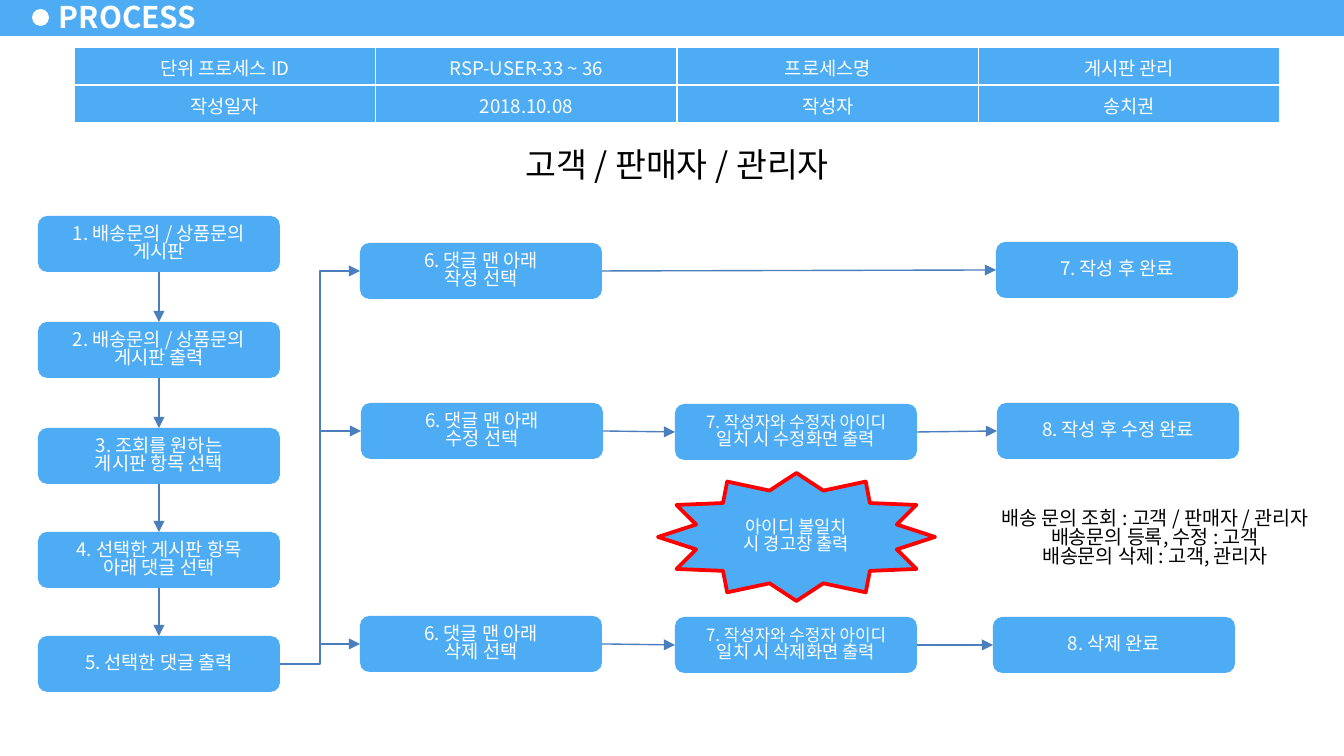
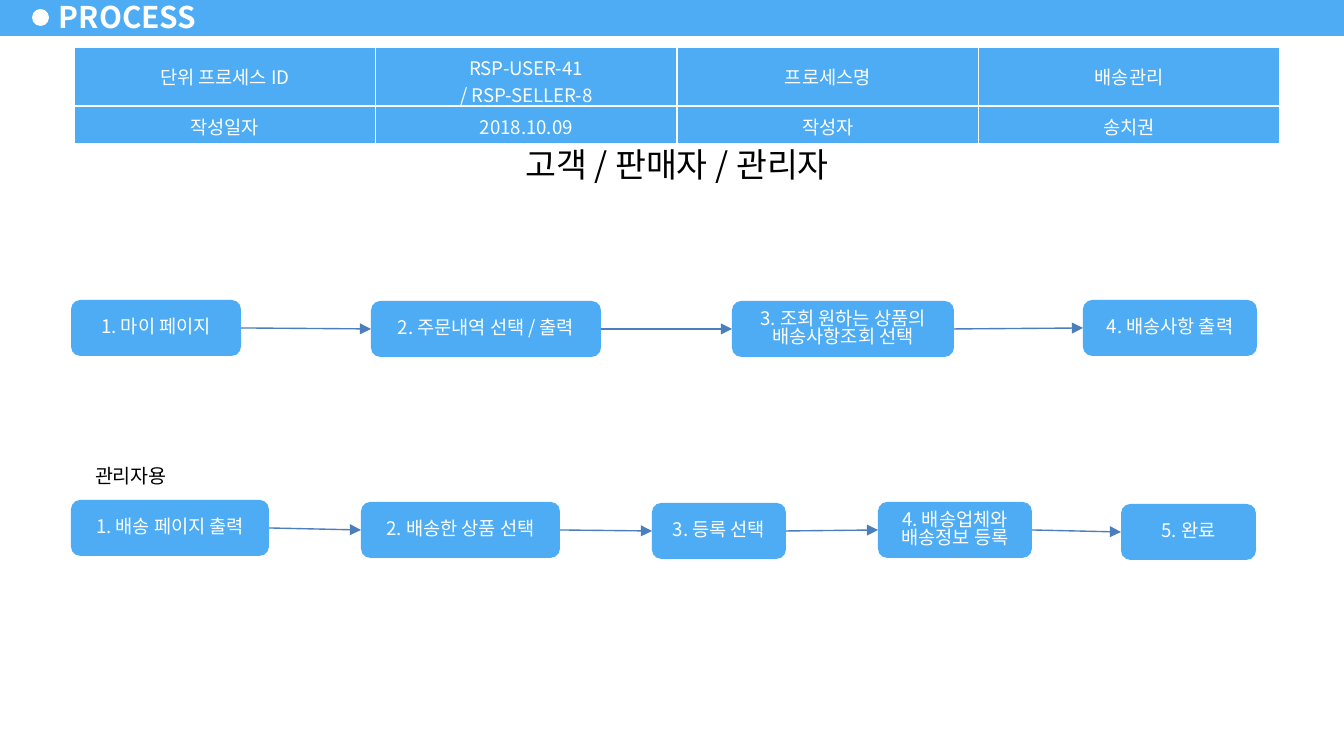
import pptx
import pptx.util
import pptx.dml.color
import pptx.enum.shapes
import pptx.enum.text
import pptx.oxml
import pptx.oxml.ns

SCALE = 914400 / 134.4
FONT = "Noto Sans CJK KR"
BLUE, WHITE, BLACK, RED, ARROW = "4DACF3", "FFFFFF", "000000", "FF0000", "4B7EBC"
BOX_W, BOX_H = 242, 56
TOP, LEFT, BOTTOM, RIGHT = range(4)  # connection sites of a box

SHAPE = pptx.enum.shapes.MSO_SHAPE
LINE = pptx.enum.shapes.MSO_CONNECTOR
ALIGN = pptx.enum.text.PP_ALIGN
ANCHOR = pptx.enum.text.MSO_ANCHOR


def px(n):
    return pptx.util.Emu(round(n * SCALE))


def rgb(color):
    return pptx.dml.color.RGBColor.from_string(color)


def sub(parent, tag, **attrs):
    el = pptx.oxml.parse_xml(f"<{tag} {pptx.oxml.ns.nsdecls('a')}/>")
    for name, value in attrs.items():
        el.set(name, str(value))
    parent.append(el)
    return el


def write(tf, text, sizes=(10,), color=WHITE, bold=False, align=ALIGN.CENTER,
          spacing=None):
    """One paragraph per line; the last size holds for the remaining lines."""
    for i, line in enumerate(text.split("\n")):
        p = tf.paragraphs[0] if i == 0 else tf.add_paragraph()
        p.alignment = align
        if spacing:
            p.line_spacing = spacing
        r = p.add_run()
        r.text = line
        r.font.size = pptx.util.Pt(sizes[min(i, len(sizes) - 1)])
        r.font.name = FONT
        r.font.bold = bold
        r.font.color.rgb = rgb(color)
        sub(r._r.get_or_add_rPr(), "a:ea", typeface=FONT)


def shape(s, kind, x, y, w, h, fill=BLUE, text="", line=None, inset=(13, 7),
          anchor=ANCHOR.MIDDLE, **fmt):
    sp = s.shapes.add_shape(kind, px(x), px(y), px(w), px(h))
    sp.shadow.inherit = False
    sp.fill.solid()
    sp.fill.fore_color.rgb = rgb(fill)
    if line:
        sp.line.color.rgb = rgb(line)
        sp.line.width = pptx.util.Pt(2)
    else:
        sp.line.fill.background()
    if text:
        tf = sp.text_frame
        tf.word_wrap = True
        tf.vertical_anchor = anchor
        tf.margin_left = tf.margin_right = px(inset[0])
        tf.margin_top = tf.margin_bottom = px(inset[1])
        write(tf, text, spacing=0.82, **fmt)
    return sp


def box(s, x, y, text, w=BOX_W, **fmt):
    return shape(s, SHAPE.ROUNDED_RECTANGLE, x, y, w, BOX_H, text=text, **fmt)


def label(s, x, y, w, h, text, size):
    shape(s, SHAPE.RECTANGLE, x, y, w, h, fill=WHITE, text=text,
          anchor=ANCHOR.TOP, sizes=(size,), color=BLACK)


def arrow(s, target, source=None, out=RIGHT, into=LEFT, start_x=0, kind=LINE.STRAIGHT):
    """Arrow from a source box, or level from start_x, to the target box."""
    y = target.top + target.height // 2
    cn = s.shapes.add_connector(kind, px(start_x), y, target.left, y)
    if source is not None:
        cn.begin_connect(source, out)
    cn.end_connect(target, into)
    cn.line.color.rgb = rgb(ARROW)
    cn.line.width = pptx.util.Pt(0.75)
    sub(cn.line._get_or_add_ln(), "a:tailEnd", type="triangle")
    sub(cn._element.spPr, "a:effectLst")


def chain(s, boxes, **sites):
    for source, target in zip(boxes, boxes[1:]):
        arrow(s, target, source, **sites)


def header(s):
    shape(s, SHAPE.RECTANGLE, 0, -2, 1344, 38)
    shape(s, SHAPE.OVAL, 32, 9, 17, 17, fill=WHITE)
    tf = s.shapes.add_textbox(px(47), px(-5), px(164), px(43)).text_frame
    tf.vertical_anchor = ANCHOR.MIDDLE
    tf.margin_left = tf.margin_right = px(12)
    tf.margin_top = tf.margin_bottom = px(5)
    write(tf, "PROCESS", sizes=(16,), bold=True, align=ALIGN.LEFT)


def info_table(s, x, y, w, heights, rows):
    table = s.shapes.add_table(len(rows), 4, px(x), px(y), px(w), px(sum(heights))).table
    table.first_row = table.horz_banding = False
    for col in table.columns:
        col.width = px(w / 4)
    for row, height, values in zip(table.rows, heights, rows):
        row.height = px(height)
        for cell, value in zip(row.cells, values):
            cell.vertical_anchor = ANCHOR.MIDDLE
            cell.margin_left = cell.margin_right = px(13)
            cell.margin_top = cell.margin_bottom = px(7)
            write(cell.text_frame, value)
            tcPr = cell._tc.get_or_add_tcPr()
            for side in ("a:lnL", "a:lnR", "a:lnT", "a:lnB"):
                fill = sub(sub(tcPr, side, w=12700), "a:solidFill")
                sub(fill, "a:srgbClr", val=WHITE)
            cell.fill.solid()
            cell.fill.fore_color.rgb = rgb(BLUE)


def process_slide(prs, process_id, name, date, first_height):
    s = prs.slides.add_slide(prs.slide_layouts[6])
    header(s)
    label(s, 437, 144, 480, 55, "고객 / 판매자 / 관리자", 18)
    info_table(s, 74, 47, 1206, (first_height, 38), [
        ("단위 프로세스 ID", process_id, "프로세스명", name),
        ("작성일자", date, "작성자", "송치권"),
    ])
    return s


def steps_down(s, x, tops, texts):
    boxes = [box(s, x, y, text) for y, text in zip(tops, texts)]
    chain(s, boxes, out=BOTTOM, into=TOP)
    return boxes


def steps_across(s, steps):
    """Each step is left, top, width, text."""
    chain(s, [box(s, x, y, text, w=w) for x, y, w, text in steps])


def branch(s, steps):
    """Each step is left, top, text and an optional size for each line."""
    boxes = [box(s, x, y, text, sizes=sizes or (10,)) for x, y, text, *sizes in steps]
    chain(s, boxes)
    return boxes[0]


prs = pptx.Presentation()
prs.slide_width, prs.slide_height = px(1344), px(756)

# Slide 1: board management
s = process_slide(prs, "RSP-USER-33 ~ 36", "게시판 관리", "2018.10.08", 38)
main_steps = steps_down(s, 38, (216, 322, 428, 532, 636), (
    "1. 배송문의 / 상품문의 게시판",
    "2. 배송문의 / 상품문의 게시판 출력",
    "3. 조회를 원하는\n게시판 항목 선택",
    "4. 선택한 게시판 항목\n아래 댓글 선택",
    "5. 선택한 댓글 출력",
))
write_step = branch(s, [(360, 243, "6. 댓글 맨 아래\n작성 선택"),
                        (996, 242, "7. 작성 후 완료")])
edit_step = branch(s, [
    (361, 403, "6. 댓글 맨 아래\n수정 선택"),
    (675, 404, "7. 작성자와 수정자 아이디\n일치 시 수정화면 출력", 9, 9.5),
    (997, 403, "8. 작성 후 수정 완료")])
delete_step = branch(s, [
    (360, 616, "6. 댓글 맨 아래\n삭제 선택"),
    (675, 617, "7. 작성자와 수정자 아이디\n일치 시 삭제화면 출력", 9, 9.5),
    (993, 617, "8. 삭제 완료")])

# Split from the last main step into the three branches
arrow(s, write_step, main_steps[-1], kind=LINE.ELBOW)
for step in (edit_step, delete_step):
    arrow(s, step, start_x=320)

# Warning and permissions
shape(s, SHAPE.STAR_12_POINT, 658, 473, 277, 128, line=RED, inset=(0, 0),
      text="아이디 불일치\n시 경고창 출력", sizes=(9.5,))
label(s, 966, 503, 378, 85, "배송 문의 조회 : 고객 / 판매자 / 관리자\n"
      "배송문의 등록, 수정 : 고객\n배송문의 삭제 : 고객, 관리자", 10.5)

# Slide 2: delivery management
s = process_slide(prs, "RSP-USER-41\n/ RSP-SELLER-8", "배송관리", "2018.10.09", 59)
steps_across(s, [
    (71, 300, 170, "1. 마이 페이지"),
    (371, 301, 230, "2. 주문내역 선택 / 출력"),
    (732, 301, 222, "3. 조회 원하는 상품의\n배송사항조회 선택"),
    (1083, 300, 174, "4. 배송사항 출력"),
])
steps_across(s, [
    (71, 500, 198, "1. 배송 페이지 출력"),
    (361, 502, 199, "2. 배송한 상품 선택"),
    (652, 503, 134, "3. 등록 선택"),
    (878, 502, 154, "4. 배송업체와\n배송정보 등록"),
    (1121, 504, 135, "5. 완료"),
])
label(s, 74, 461, 114, 38, "관리자용", 10.5)

prs.save("out.pptx")
